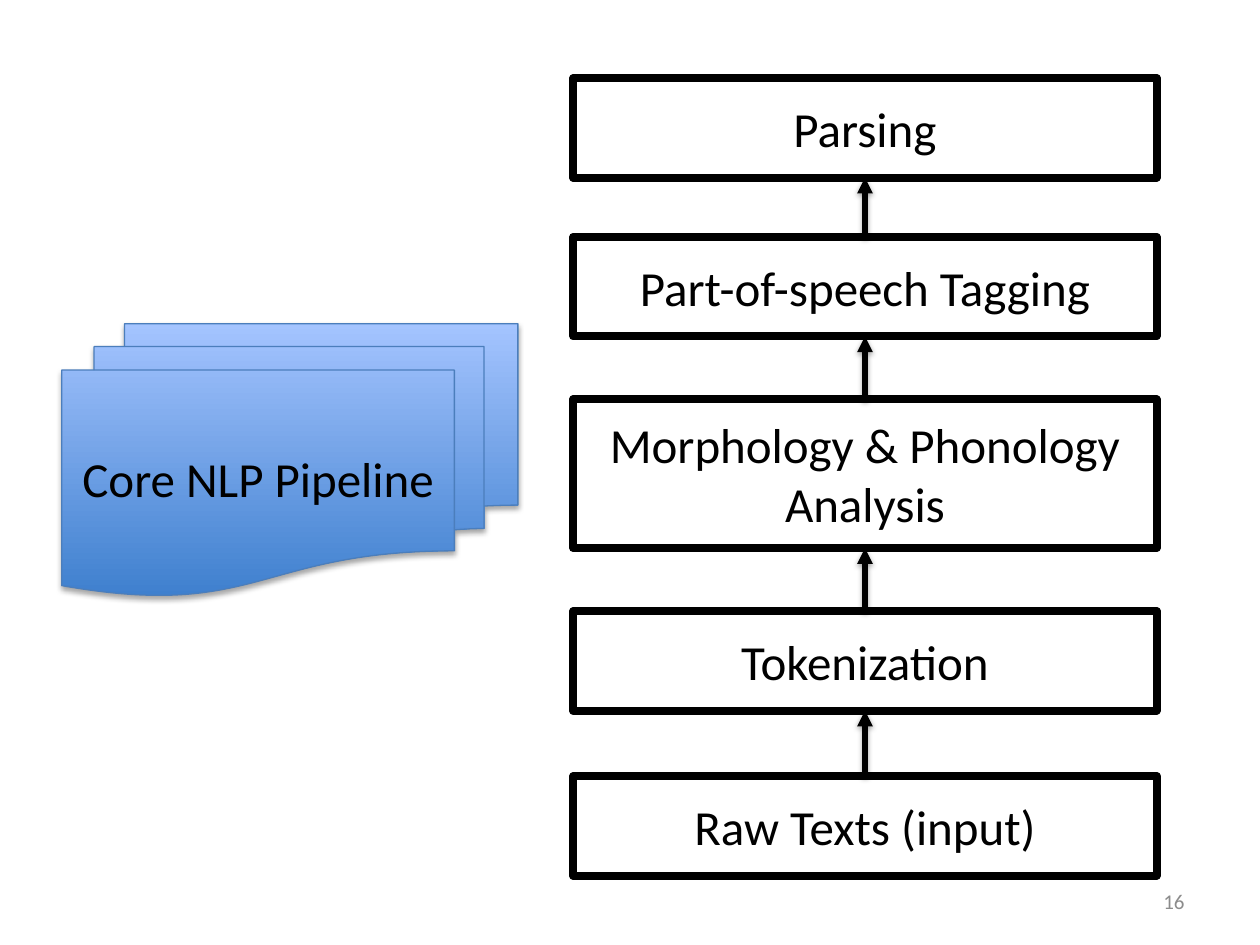
from collections import namedtuple
from dataclasses import dataclass

import pptx
import pptx.dml.color
import pptx.enum.shapes
import pptx.enum.text
import pptx.oxml
import pptx.oxml.ns
import pptx.util

COLUMNS, ROWS = 1000, 750
Box = namedtuple("Box", "left top width height")
Step = namedtuple("Step", "label gap rows")
Shadow = namedtuple("Shadow", "opacity blur distance")

STEPS = (
    Step("Parsing", 0, 79),
    Step("Part-of-speech Tagging", 47, 79),
    Step("Morphology & Phonology Analysis", 50, 118),
    Step("Tokenization", 50, 79),
    Step("Raw Texts (input)", 52, 79),
)


@dataclass(frozen=True)
class Theme:
    """Colours, type sizes and line widths of the slide."""
    font: str = "Calibri"
    ink: str = "000000"
    paper: str = "FFFFFF"
    muted: str = "8C8C8C"
    document_line: str = "4B7EBC"
    document_fill: tuple = ("3F80CE", "A4C4FF")
    label_size: float = 28
    number_size: float = 12
    frame_width: float = 4.5
    arrow_width: float = 3
    document_width: float = 0.75
    arrow_shadow: Shadow = Shadow(38, 3.1, 1.6)
    document_shadow: Shadow = Shadow(35, 3.1, 1.8)


THEME = Theme()


def rgb(value):
    """Turn a hex string into a colour."""
    return pptx.dml.color.RGBColor.from_string(value)


def grid(*cells):
    """Turn counts of grid cells into lengths."""
    return [pptx.util.Inches(10 * cell / COLUMNS) for cell in cells]


def apply(target, formats):
    """Set every attribute named in a dict of formats."""
    for attribute, value in formats.items():
        setattr(target, attribute, value)


def write(shape, text, size, color, align, inset=(10, 5)):
    """Write one wrapped, vertically centred paragraph in a shape."""
    side, edge = grid(*inset)
    frame = shape.text_frame
    apply(frame, {
        "word_wrap": True,
        "vertical_anchor": pptx.enum.text.MSO_ANCHOR.MIDDLE,
        "margin_left": side, "margin_right": side,
        "margin_top": edge, "margin_bottom": edge,
    })
    paragraph = frame.paragraphs[0]
    apply(paragraph, {"text": text, "alignment": align})
    apply(paragraph.font, {"name": THEME.font, "size": pptx.util.Pt(size)})
    paragraph.font.color.rgb = rgb(color)


def outline(shape, color, width):
    """Give a shape or connector a plain line."""
    shape.line.color.rgb = rgb(color)
    shape.line.width = pptx.util.Pt(width)


def cast_shadow(properties, shadow):
    """Add a downward shadow to shape properties."""
    namespace = pptx.oxml.ns.nsdecls("a")
    properties.append(pptx.oxml.parse_xml(
        f'<a:effectLst {namespace}><a:outerShdw blurRad="{pptx.util.Pt(shadow.blur)}" '
        f'dist="{pptx.util.Pt(shadow.distance)}" dir="5400000" rotWithShape="0">'
        f'<a:srgbClr val="{THEME.ink}"><a:alpha val="{shadow.opacity * 1000}"/>'
        '</a:srgbClr></a:outerShdw></a:effectLst>'))


def add_step(slide, box, label):
    """Place one framed pipeline step."""
    step = slide.shapes.add_shape(pptx.enum.shapes.MSO_SHAPE.RECTANGLE, *grid(*box))
    step.shadow.inherit = False
    step.fill.solid()
    step.fill.fore_color.rgb = rgb(THEME.paper)
    outline(step, THEME.ink, THEME.frame_width)
    write(step, label, THEME.label_size, THEME.ink,
          pptx.enum.text.PP_ALIGN.CENTER, inset=(8, 4))


def add_arrow(slide, x, bottom, top):
    """Draw an upward arrow between two steps."""
    arrow = slide.shapes.add_connector(
        pptx.enum.shapes.MSO_CONNECTOR.STRAIGHT, *grid(x, bottom, x, top))
    outline(arrow, THEME.ink, THEME.arrow_width)
    arrow.line._get_or_add_ln().append(pptx.oxml.parse_xml(
        f'<a:tailEnd {pptx.oxml.ns.nsdecls("a")} type="triangle"/>'))
    cast_shadow(arrow._element.spPr, THEME.arrow_shadow)


def add_pipeline(slide, left, top, width):
    """Stack the steps downwards and link each to the one above it."""
    bottom = top
    arrows = []
    for step in STEPS:
        step_top = bottom + step.gap
        if step.gap:
            arrows.append((step_top, bottom))
        add_step(slide, Box(left, step_top, width, step.rows), step.label)
        bottom = step_top + step.rows
    for start, end in arrows:
        add_arrow(slide, left + width / 2, start, end)


def add_documents(slide, box, label):
    """Place the shaded stack of documents."""
    documents = slide.shapes.add_shape(
        pptx.enum.shapes.MSO_SHAPE.FLOWCHART_MULTIDOCUMENT, *grid(*box))
    documents.fill.gradient()
    documents.fill.gradient_angle = 90
    for stop, color in zip(documents.fill.gradient_stops, THEME.document_fill):
        stop.color.rgb = rgb(color)
    outline(documents, THEME.document_line, THEME.document_width)
    cast_shadow(documents._element.spPr, THEME.document_shadow)
    write(documents, label, THEME.label_size, THEME.ink, pptx.enum.text.PP_ALIGN.CENTER)


def add_number(slide, box, number):
    """Place the slide number."""
    write(slide.shapes.add_textbox(*grid(*box)), number, THEME.number_size,
          THEME.muted, pptx.enum.text.PP_ALIGN.RIGHT)


def main():
    """Build and save the slide."""
    deck = pptx.Presentation()
    deck.slide_width, deck.slide_height = grid(COLUMNS, ROWS)
    slide = deck.slides.add_slide(deck.slide_layouts[6])
    add_pipeline(slide, left=455, top=62, width=463)
    add_documents(slide, Box(49, 257, 362, 216), "Core NLP Pipeline")
    add_number(slide, Box(717, 695, 233, 40), "16")
    deck.save("out.pptx")


if __name__ == "__main__":
    main()
